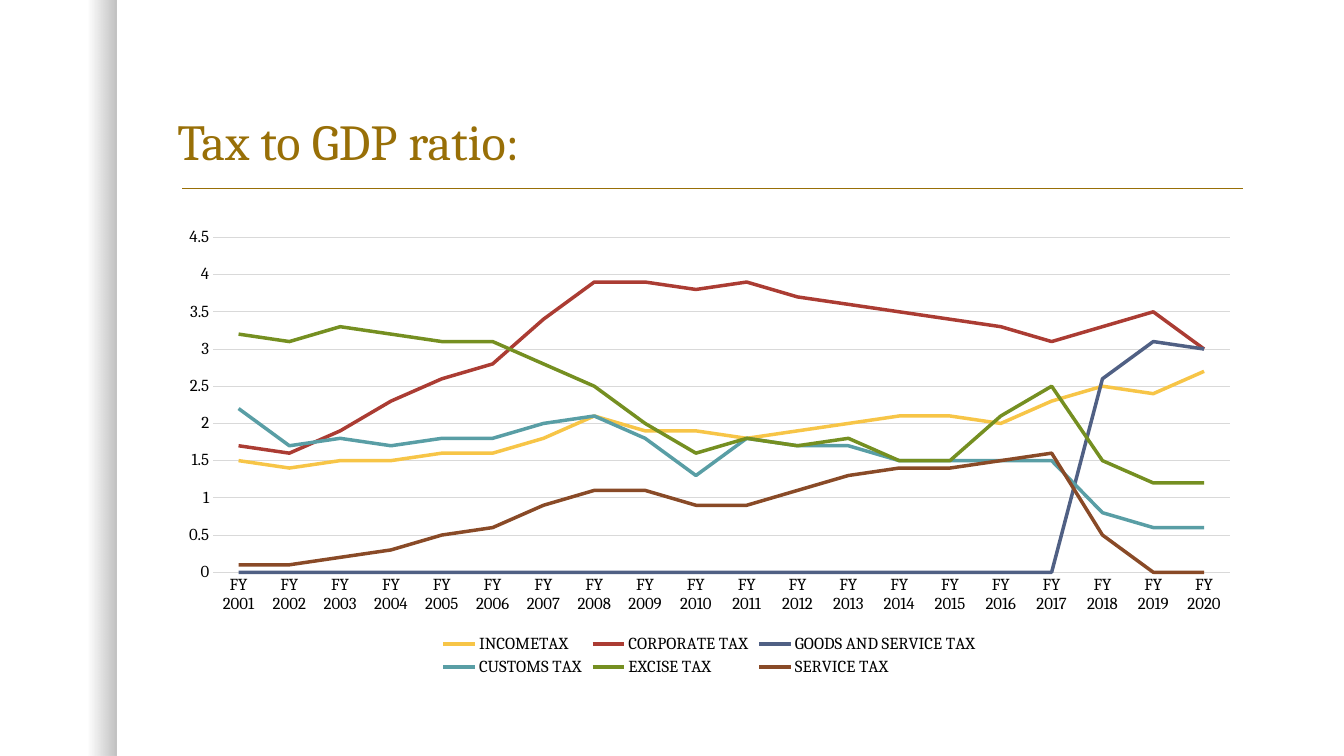
import lxml.etree
import pptx
import pptx.chart.data
import pptx.dml.color
import pptx.enum.chart
import pptx.enum.shapes
import pptx.enum.text
import pptx.oxml.ns
import pptx.util

RGB = pptx.dml.color.RGBColor
Pt = pptx.util.Pt
qn = pptx.oxml.ns.qn
WIDE = pptx.util.Inches(13.33)
HIGH = pptx.util.Inches(7.5)
FACE = "Cambria"
GOLD = RGB(0x98, 0x6F, 0x07)
BLACK = RGB(0, 0, 0)
GREY = RGB(0xD9, 0xD9, 0xD9)
YEARS = [f"FY {year}" for year in range(2001, 2021)]
TAXES = [
    ("INCOMETAX", RGB(0xF7, 0xC5, 0x47),
     [1.5, 1.4, 1.5, 1.5, 1.6, 1.6, 1.8, 2.1, 1.9, 1.9,
      1.8, 1.9, 2, 2.1, 2.1, 2, 2.3, 2.5, 2.4, 2.7]),
    ("CORPORATE TAX", RGB(0xAB, 0x3C, 0x33),
     [1.7, 1.6, 1.9, 2.3, 2.6, 2.8, 3.4, 3.9, 3.9, 3.8,
      3.9, 3.7, 3.6, 3.5, 3.4, 3.3, 3.1, 3.3, 3.5, 3]),
    ("GOODS AND SERVICE TAX", RGB(0x50, 0x60, 0x84),
     [0] * 17 + [2.6, 3.1, 3]),
    ("CUSTOMS TAX", RGB(0x59, 0x9E, 0xA5),
     [2.2, 1.7, 1.8, 1.7, 1.8, 1.8, 2, 2.1, 1.8, 1.3,
      1.8, 1.7, 1.7, 1.5, 1.5, 1.5, 1.5, 0.8, 0.6, 0.6]),
    ("EXCISE TAX", RGB(0x75, 0x8F, 0x21),
     [3.2, 3.1, 3.3, 3.2, 3.1, 3.1, 2.8, 2.5, 2, 1.6,
      1.8, 1.7, 1.8, 1.5, 1.5, 2.1, 2.5, 1.5, 1.2, 1.2]),
    ("SERVICE TAX", RGB(0x89, 0x4A, 0x27),
     [0.1, 0.1, 0.2, 0.3, 0.5, 0.6, 0.9, 1.1, 1.1, 0.9,
      0.9, 1.1, 1.3, 1.4, 1.4, 1.5, 1.6, 0.5, 0, 0]),
]


def share(left, top, width, height):
    return (round(left * WIDE), round(top * HIGH),
            round(width * WIDE), round(height * HIGH))


def style(part, values):
    for name, value in values.items():
        setattr(part, name, value)


def pen(line, color, width):
    line.color.rgb = color
    line.width = Pt(width)


def type_in(font, size, color):
    style(font, {"name": FACE, "size": Pt(size)})
    font.color.rgb = color


def add_edge(slide, box):
    edge = slide.shapes.add_shape(pptx.enum.shapes.MSO_SHAPE.RECTANGLE, *box)
    edge.shadow.inherit = False
    edge.line.fill.background()
    edge.fill.gradient()
    edge.fill.gradient_angle = 0
    for stop, (place, alpha) in zip(edge.fill.gradient_stops,
                                    [(0.75, 0), (1, 25)]):
        stop.position = place
        stop.color.rgb = BLACK
        tint = edge._element.spPr.findall(".//" + qn("a:srgbClr"))[-1 if place == 1 else 0]
        lxml.etree.SubElement(tint, qn("a:alpha"), val=str(alpha * 1000))


def add_rule(slide, box):
    left, top, width, height = box
    rule = slide.shapes.add_connector(pptx.enum.shapes.MSO_CONNECTOR.STRAIGHT,
                                      left, top, left + width, top + height)
    pen(rule.line, GOLD, 1)
    lxml.etree.SubElement(rule._element.spPr, qn("a:effectLst"))


def add_title(slide, box, words):
    frame = slide.shapes.add_textbox(*box).text_frame
    style(frame, {"word_wrap": True,
                  "vertical_anchor": pptx.enum.text.MSO_ANCHOR.BOTTOM})
    para = frame.paragraphs[0]
    para.line_spacing = 0.9
    run = para.add_run()
    run.text = words
    type_in(run.font, 36, GOLD)


def add_graph(slide, box):
    data = pptx.chart.data.CategoryChartData()
    data.categories = YEARS
    for name, color, values in TAXES:
        data.add_series(name, values)
    chart = slide.shapes.add_chart(pptx.enum.chart.XL_CHART_TYPE.LINE,
                                   *box, data).chart
    style(chart, {"has_title": False, "has_legend": True})
    type_in(chart.font, 12, BLACK)
    style(chart.legend, {
        "position": pptx.enum.chart.XL_LEGEND_POSITION.BOTTOM,
        "include_in_layout": False})
    type_in(chart.legend.font, 12, BLACK)
    chart.plots[0].vary_by_categories = False
    for line, (name, color, values) in zip(chart.plots[0].series, TAXES):
        line.smooth = False
        line.marker.style = pptx.enum.chart.XL_MARKER_STYLE.NONE
        pen(line.format.line, color, 2.5)
    none = pptx.enum.chart.XL_TICK_MARK.NONE
    for axis in (chart.category_axis, chart.value_axis):
        style(axis, {"major_tick_mark": none, "minor_tick_mark": none})
        type_in(axis.tick_labels.font, 12, BLACK)
    pen(chart.category_axis.format.line, GREY, 0.75)
    scale = chart.value_axis
    style(scale, {"minimum_scale": 0, "maximum_scale": 4.5,
                  "major_unit": 0.5, "has_major_gridlines": True})
    scale.format.line.fill.background()
    pen(scale.major_gridlines.format.line, GREY, 0.75)


def main():
    deck = pptx.Presentation()
    style(deck, {"slide_width": WIDE, "slide_height": HIGH})
    slide = deck.slides.add_slide(deck.slide_layouts[6])
    add_edge(slide, share(0, 0, 1.16 / 13.33, 1))
    add_rule(slide, share(1.81 / 13.33, 1.87 / 7.5, 10.52 / 13.33, 0))
    add_title(slide, share(1.66 / 13.33, 0.42 / 7.5, 10.75 / 13.33, 1.33 / 7.5),
              "Tax to GDP ratio:")
    add_graph(slide, share(1.66 / 13.33, 2.17 / 7.5, 10.75 / 13.33, 4.58 / 7.5))
    deck.save("out.pptx")


if __name__ == "__main__":
    main()
